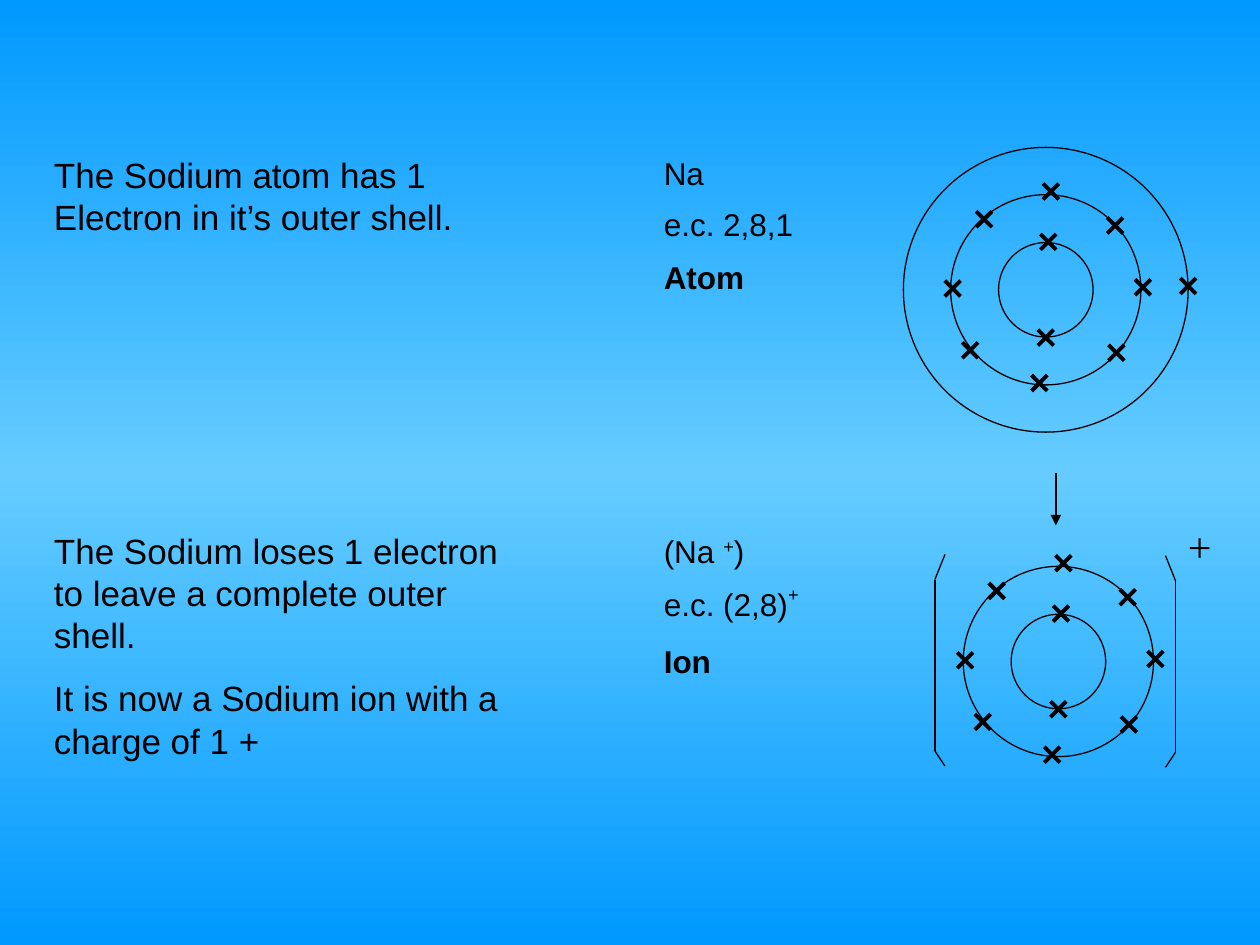
"""Build a slide showing how a sodium atom becomes a sodium ion."""
from copy import deepcopy
from dataclasses import dataclass
from itertools import pairwise
from typing import Any

from pptx import Presentation
from pptx.dml.color import RGBColor
from pptx.enum.shapes import MSO_CONNECTOR, MSO_SHAPE
from pptx.enum.text import MSO_AUTO_SIZE as AutoSize
from pptx.oxml.ns import qn
from pptx.oxml.xmlchemy import OxmlElement
from pptx.util import Inches, Pt

BLACK = "000000"
THIN, THICK = 0.75, 2.25
MARK = 0.125
LABEL_LEFT, LABEL_WIDTH = 5.17, 1.67
NOTE_LEFT, NOTE_WIDTH = 0.33, 3.83
SHELL_RADII = (0.375, 0.755, 1.13)
PAIRED_ELECTRONS = (
    (0, 0.38), (0.02, -0.38), (-0.6, 0.48), (-0.49, -0.56), (0.55, -0.51),
    (0.56, 0.5), (-0.74, -0.01), (0.77, -0.02), (0.04, -0.78), (-0.05, 0.74),
)
OUTER_ELECTRON = (1.13, -0.03)


@dataclass
class Span:
    text: str
    raised: int = 0


@dataclass
class Label:
    left: float
    top: float
    width: float
    height: float
    paras: list[list[Span]]
    size: int = 18
    bold: bool = False
    font: str = "Arial"


@dataclass
class Particle:
    x: float
    y: float
    shells: int
    electrons: tuple[tuple[float, float], ...]


LABELS = (
    Label(LABEL_LEFT, 1.17, LABEL_WIDTH, 0.4, [[Span("Na")]]),
    Label(LABEL_LEFT, 1.58, LABEL_WIDTH, 0.4, [[Span("e.c. 2,8,1")]]),
    Label(LABEL_LEFT, 2, LABEL_WIDTH, 0.4, [[Span("Atom")]], bold=True),
    Label(LABEL_LEFT, 4.17, LABEL_WIDTH, 0.4,
          [[Span("(Na "), Span("+", 30), Span(")")]]),
    Label(LABEL_LEFT, 4.58, LABEL_WIDTH, 0.41,
          [[Span("e.c. (2,8)"), Span("+", 46)]]),
    Label(LABEL_LEFT, 5.05, LABEL_WIDTH, 0.4, [[Span("Ion")]], bold=True),
    Label(NOTE_LEFT, 1.17, NOTE_WIDTH, 0.77,
          [[Span("The Sodium atom has 1 Electron in it’s outer shell.")]], size=20),
    Label(NOTE_LEFT, 4.15, NOTE_WIDTH, 1.94,
          [[Span("The Sodium loses 1 electron to leave a complete outer shell.")],
           [Span("It is now a Sodium ion with a charge of 1 +")]], size=20),
)
CHARGE = Label(9.33, 4.08, 0.42, 0.5, [[Span("+")]], size=24, font="Times New Roman")
ATOM = Particle(8.3, 2.3, 3, (*PAIRED_ELECTRONS, OUTER_ELECTRON))
ION = Particle(8.4, 5.25, 2, PAIRED_ELECTRONS)
BRACKETS = (
    ((7.5, 4.4), (7.42, 4.6), (7.42, 5.96), (7.5, 6.08)),
    ((9.25, 4.41), (9.33, 4.61), (9.33, 5.97), (9.25, 6.09)),
)


def color(value: str) -> RGBColor:
    """Turn a hex string into a colour."""
    return RGBColor.from_string(value)


def set_values(target: Any, values: dict[str, Any]) -> None:
    """Set each named attribute of the target."""
    for name, value in values.items():
        setattr(target, name, value)


def paint_background(page: Any) -> None:
    """Fill the page with a vertical three-stop gradient."""
    fill = page.background.fill
    fill.gradient()
    fill.gradient_angle = 270
    stop_list = page.element.find(".//" + qn("a:gsLst"))
    stop_list.append(deepcopy(stop_list[0]))
    stops = zip(fill.gradient_stops, (0, 0.5, 1), ("0099FF", "66CCFF", "0099FF"))
    for stop, position, value in stops:
        stop.position = position
        stop.color.rgb = color(value)


def add_label(shapes: Any, label: Label) -> None:
    """Add a text box with its paragraphs and spans."""
    box = shapes.add_textbox(Inches(label.left), Inches(label.top),
                             Inches(label.width), Inches(label.height))
    frame = box.text_frame
    set_values(frame, {"word_wrap": True, "auto_size": AutoSize.SHAPE_TO_FIT_TEXT})
    for index, spans in enumerate(label.paras):
        para = frame.add_paragraph() if index else frame.paragraphs[0]
        if index:
            para.space_before = Pt(12.5)
        for span in spans:
            run = para.add_run()
            run.text = span.text
            set_values(run.font, {"name": label.font, "size": Pt(label.size),
                                  "bold": label.bold})
            run.font.color.rgb = color(BLACK)
            if span.raised:
                run._r.get_or_add_rPr().set("baseline", str(span.raised * 1000))


def add_line(shapes: Any, start: tuple[float, float], end: tuple[float, float],
             width: float = THIN, arrow: bool = False) -> None:
    """Add a straight black line, with an arrowhead at its end if asked."""
    line = shapes.add_connector(MSO_CONNECTOR.STRAIGHT, *map(Inches, (*start, *end)))
    line.line.width = Pt(width)
    line.line.color.rgb = color(BLACK)
    if arrow:
        head = OxmlElement("a:tailEnd")
        head.set("type", "triangle")
        line.line._get_or_add_ln().append(head)
    line._element.spPr.append(OxmlElement("a:effectLst"))


def add_shell(shapes: Any, x: float, y: float, radius: float) -> None:
    """Add an unfilled circle around a centre."""
    shell = shapes.add_shape(MSO_SHAPE.OVAL, Inches(x - radius), Inches(y - radius),
                             Inches(2 * radius), Inches(2 * radius))
    shell.shadow.inherit = False
    shell.fill.background()
    shell.line.width = Pt(THIN)
    shell.line.color.rgb = color(BLACK)


def add_electron(shapes: Any, x: float, y: float) -> None:
    """Add a cross around a centre."""
    half = MARK / 2
    for rise in (half, -half):
        add_line(shapes, (x - half, y - rise), (x + half, y + rise), THICK)


def add_particle(page: Any, particle: Particle) -> Any:
    """Add a group of shells and electrons and return its shapes."""
    shapes = page.shapes.add_group_shape().shapes
    for radius in SHELL_RADII[:particle.shells]:
        add_shell(shapes, particle.x, particle.y, radius)
    for across, down in particle.electrons:
        add_electron(shapes, particle.x + across, particle.y + down)
    return shapes


def main() -> None:
    """Build and save the deck."""
    deck = Presentation()
    set_values(deck, {"slide_width": Inches(10), "slide_height": Inches(7.5)})
    page = deck.slides.add_slide(deck.slide_layouts[6])
    paint_background(page)
    add_line(page.shapes, (4.58, 3.75), (4.58, 3.75))
    for label in LABELS:
        add_label(page.shapes, label)
    add_line(page.shapes, (8.38, 3.75), (8.38, 4.17), arrow=True)
    add_particle(page, ATOM)
    ion_shapes = add_particle(page, ION)
    for bracket in BRACKETS:
        for start, end in pairwise(bracket):
            add_line(ion_shapes, start, end)
    add_label(ion_shapes, CHARGE)
    deck.save("out.pptx")


if __name__ == "__main__":
    main()
